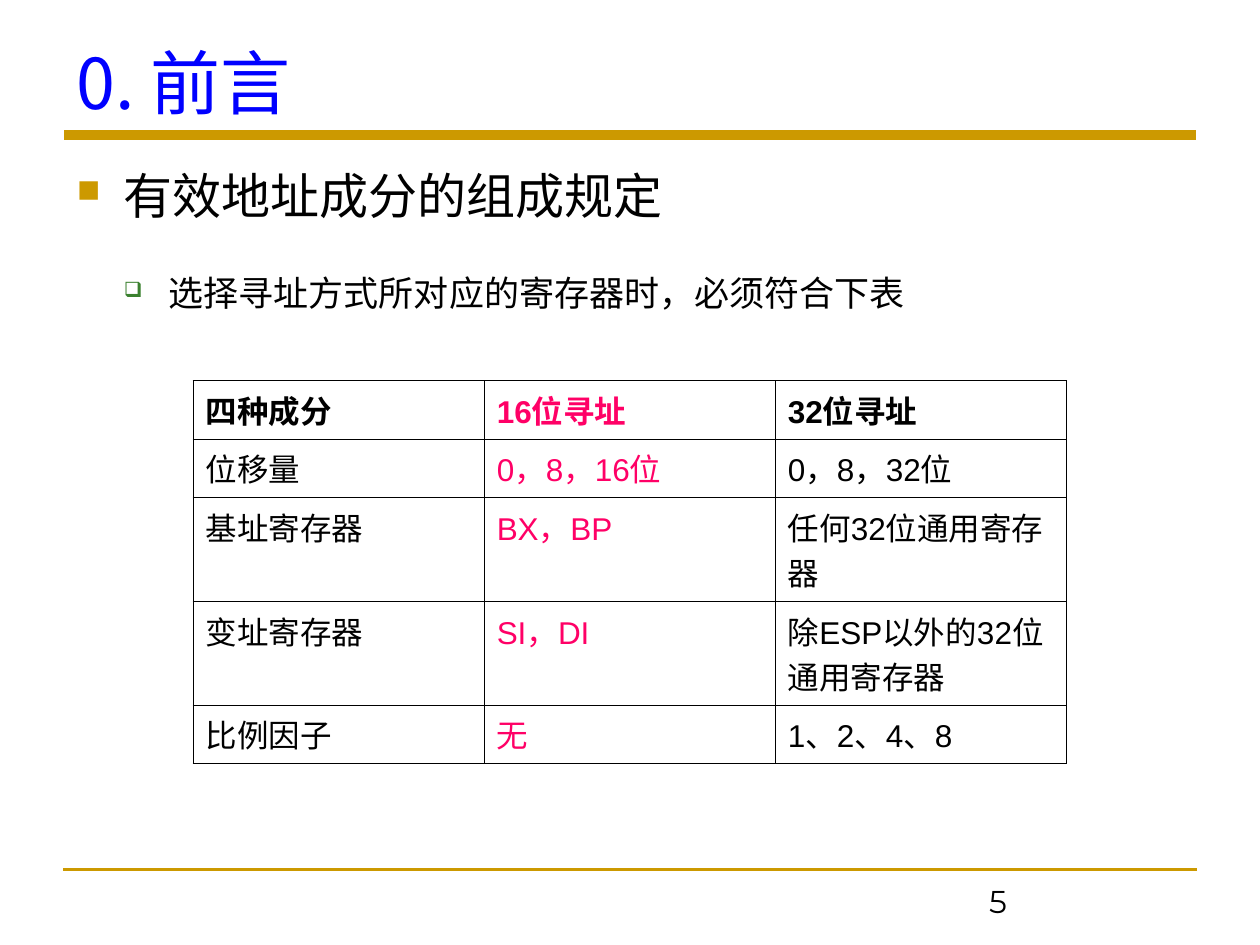
from lxml.etree import SubElement
from pptx import Presentation
from pptx.dml.color import RGBColor
from pptx.enum.shapes import MSO_CONNECTOR
from pptx.oxml.ns import qn
from pptx.util import Cm, Pt

CJK = "Noto Sans CJK SC"
GOLD, BLACK, PINK = "CC9900", "000000", "FF0066"


def rgb(value):
    return RGBColor.from_string(value)


class Deck:
    def __init__(self):
        self.prs = Presentation()
        self.prs.slide_width, self.prs.slide_height = Cm(25.4), Cm(19.05)
        self.s = self.prs.slides.add_slide(self.prs.slide_layouts[6])

    def format(self, p, size, color=BLACK, font=CJK, bold=False):
        for r in p.runs:
            r.font.size, r.font.bold = Pt(size), bold
            r.font.name = font
            r.font.color.rgb = rgb(color)
            SubElement(r.font._element, qn("a:ea"), typeface=CJK)

    def rule(self, x1, x2, y, width):
        line = self.s.shapes.add_connector(
            MSO_CONNECTOR.STRAIGHT, Cm(x1), Cm(y), Cm(x2), Cm(y))
        line.line.color.rgb = rgb(GOLD)
        line.line.width = Pt(width)
        SubElement(line._element.spPr, qn("a:effectLst"))

    def text(self, x, y, w, h, lines, inset=0):
        tf = self.s.shapes.add_textbox(Cm(x), Cm(y), Cm(w), Cm(h)).text_frame
        tf.word_wrap = True
        tf.margin_top = tf.margin_bottom = Cm(inset)
        for i, line in enumerate(lines):
            p = tf.paragraphs[0] if i == 0 else tf.add_paragraph()
            p.text = line
        return tf.paragraphs

    def bullet(self, p, char, color, percent, left, hanging):
        pPr = p._p.get_or_add_pPr()
        pPr.set("marL", str(Cm(left)))
        pPr.set("indent", str(-Cm(hanging)))
        SubElement(SubElement(pPr, qn("a:buClr")), qn("a:srgbClr"), val=color)
        SubElement(pPr, qn("a:buSzPct"), val=str(percent * 1000))
        SubElement(pPr, qn("a:buChar"), char=char)

    def border(self, cell, width):
        tcPr = cell._tc.get_or_add_tcPr()
        for side in ("a:lnL", "a:lnR", "a:lnT", "a:lnB"):
            ln = SubElement(tcPr, qn(side), w=str(Pt(width)))
            fill = SubElement(ln, qn("a:solidFill"))
            SubElement(fill, qn("a:srgbClr"), val=BLACK)

    def table(self, x, y, col_width, heights, rows, colors):
        """Draw a ruled table with a bold first row and one text colour per column."""
        table = self.s.shapes.add_table(
            len(rows), len(colors), Cm(x), Cm(y),
            Cm(col_width * len(colors)), Cm(sum(heights))).table
        table.first_row = table.horz_banding = False
        for column in table.columns:
            column.width = Cm(col_width)
        for i, (height, row) in enumerate(zip(heights, rows)):
            table.rows[i].height = Cm(height)
            for j, (value, color) in enumerate(zip(row, colors)):
                cell = table.cell(i, j)
                self.border(cell, 0.45)
                cell.fill.background()
                cell.text_frame.text = value
                self.format(cell.text_frame.paragraphs[0], 18, color,
                            "Arial", bold=i == 0)


def main():
    deck = Deck()
    deck.rule(1.27, 24.13, 17.53, 1.5)
    deck.rule(1.3, 24.1, 2.72, 6)

    title, = deck.text(1.3, 0.79, 22.86, 1.6, ["0. 前言"])
    deck.format(title, 40, "0000FF")

    topic, detail = deck.text(1.3, 3.33, 22.81, 14, [
        "有效地址成分的组成规定",
        "选择寻址方式所对应的寄存器时，必须符合下表",
    ])
    deck.bullet(topic, "■", GOLD, 65, 0.95, 0.95)
    deck.format(topic, 28)
    deck.bullet(detail, "❑", "3B812F", 60, 1.85, 0.9)
    detail.level = 1
    detail.space_before = Pt(27)
    deck.format(detail, 20)

    number, = deck.text(19.69, 17.65, 5.71, 1.02, ["5"], inset=0.13)
    deck.format(number, 18, font="Montserrat")

    single, double = 1.18, 2.09
    deck.table(3.89, 7.67, 5.87, [single, single, double, double, single], [
        ("四种成分", "16位寻址", "32位寻址"),
        ("位移量", "0，8，16位", "0，8，32位"),
        ("基址寄存器", "BX，BP", "任何32位通用寄存器"),
        ("变址寄存器", "SI，DI", "除ESP以外的32位通用寄存器"),
        ("比例因子", "无", "1、2、4、8"),
    ], (BLACK, PINK, BLACK))

    deck.prs.save("out.pptx")


if __name__ == "__main__":
    main()
